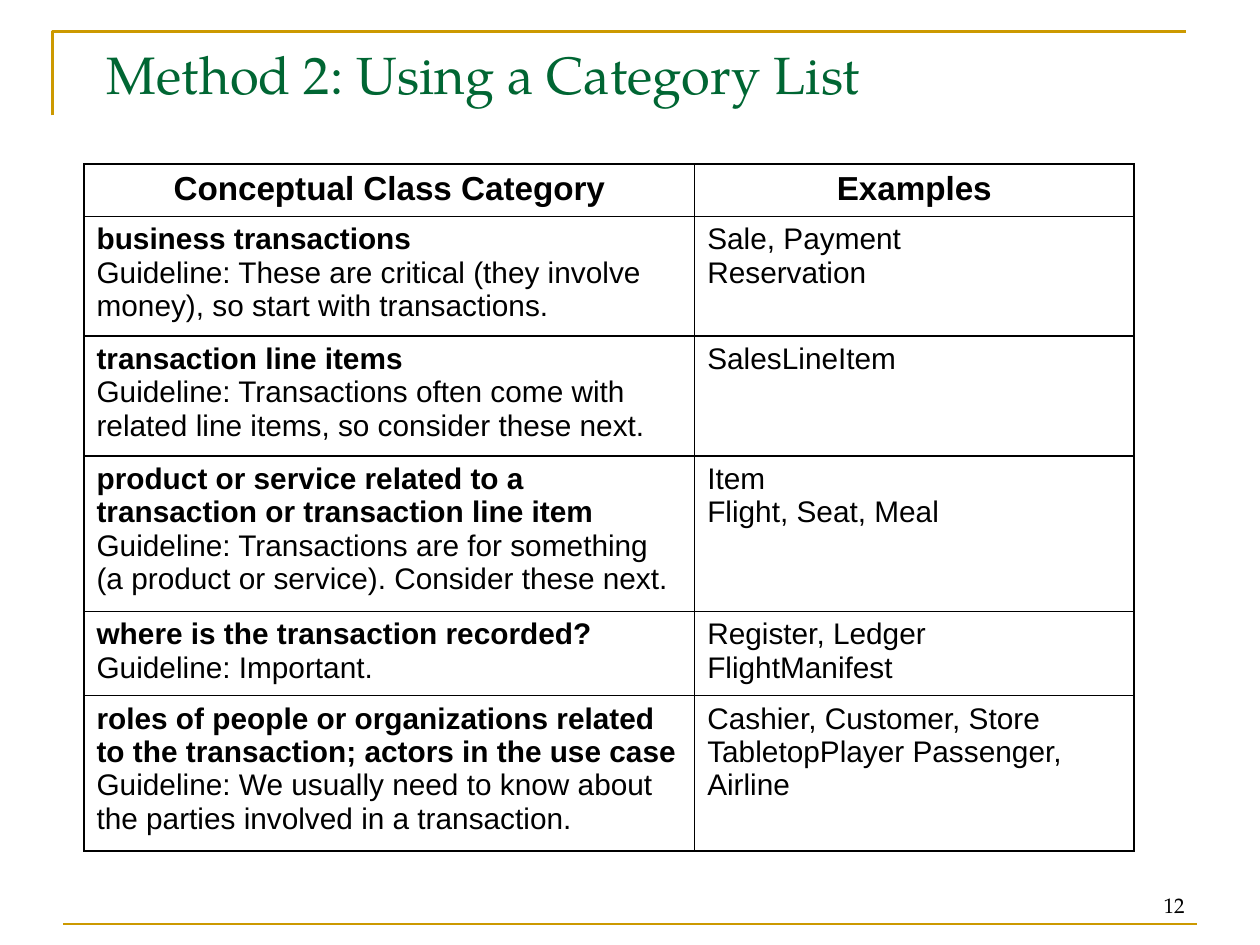
"""Builds the slide on finding conceptual classes with a category list."""
import pptx
import pptx.util
import pptx.dml.color
import pptx.enum.shapes
import pptx.enum.text
import pptx.oxml
import pptx.oxml.ns

Pt = pptx.util.Pt
ALIGN = pptx.enum.text.PP_ALIGN
ANCHOR = pptx.enum.text.MSO_ANCHOR
COLORS = {"gold": "CC9900", "green": "006633", "black": "000000", "white": "FFFFFF"}
SERIF, SANS = "TeX Gyre Pagella", "Arial"
HEADINGS = ["Conceptual Class Category", "Examples"]
CATEGORIES = [
    ("business transactions",
     "Guideline: These are critical (they involve money), so start with transactions.",
     ["Sale, Payment", "Reservation"]),
    ("transaction line items",
     "Guideline: Transactions often come with related line items, so consider these next.",
     ["SalesLineItem"]),
    ("product or service related to a transaction or transaction line item",
     "Guideline: Transactions are for something (a product or service). Consider these next.",
     ["Item", "Flight, Seat, Meal"]),
    ("where is the transaction recorded?",
     "Guideline: Important.",
     ["Register, Ledger", "FlightManifest"]),
    ("roles of people or organizations related to the transaction; actors in the use case",
     "Guideline: We usually need to know about the parties involved in a transaction.",
     ["Cashier, Customer, Store TabletopPlayer Passenger, Airline"]),
]
COLUMN_WIDTHS = [349, 251]
ROW_HEIGHTS = [30, 68.5, 68.5, 88.8, 48, 88.8]


def color(name):
    return pptx.dml.color.RGBColor.from_string(COLORS[name])


def write(frame, lines, ink="black", align=ALIGN.LEFT, **font):
    for index, (text, bold) in enumerate(lines):
        para = frame.add_paragraph() if index else frame.paragraphs[0]
        para.alignment = align
        span = para.add_run()
        span.text = text
        for key, value in {**font, "bold": bold}.items():
            setattr(span.font, key, value)
        span.font.color.rgb = color(ink)


def add_text(page, place, text, anchor, **style):
    frame = page.shapes.add_textbox(*map(Pt, place)).text_frame
    for key, value in {"word_wrap": True, "vertical_anchor": anchor}.items():
        setattr(frame, key, value)
    write(frame, [(text, False)], name=SERIF, **style)


def style_rule(shape):
    shape.line.color.rgb = color("gold")
    shape.line.width = Pt(1.5)


def add_corner(page, points):
    start, *others = [(Pt(x), Pt(y)) for x, y in points]
    builder = page.shapes.build_freeform(*start, scale=1.0)
    builder.add_line_segments(others, close=False)
    corner = builder.convert_to_shape()
    corner.shadow.inherit = False
    corner.fill.background()
    style_rule(corner)


def add_rule(page, left, right, top):
    rule = page.shapes.add_connector(
        pptx.enum.shapes.MSO_CONNECTOR.STRAIGHT, Pt(left), Pt(top), Pt(right), Pt(top))
    style_rule(rule)
    pptx.oxml.ns.qn("a:effectLst")
    rule._element.spPr.append(pptx.oxml.parse_xml(
        f"<a:effectLst {pptx.oxml.ns.nsdecls('a')}/>"))


def add_borders(cell):
    properties = cell._tc.get_or_add_tcPr()
    for side in ("lnL", "lnR", "lnT", "lnB"):
        properties.append(pptx.oxml.parse_xml(
            f"<a:{side} {pptx.oxml.ns.nsdecls('a')} w=\"{Pt(1)}\"><a:solidFill>"
            f"<a:srgbClr val=\"{COLORS['black']}\"/></a:solidFill></a:{side}>"))


def fill_cell(cell, lines, **style):
    add_borders(cell)
    cell.fill.solid()
    cell.fill.fore_color.rgb = color("white")
    write(cell.text_frame, lines, name=SANS, **style)


def add_category_table(page, left, top):
    table = page.shapes.add_table(
        len(ROW_HEIGHTS), len(COLUMN_WIDTHS), Pt(left), Pt(top),
        Pt(sum(COLUMN_WIDTHS)), Pt(sum(ROW_HEIGHTS))).table
    for column, width in zip(table.columns, COLUMN_WIDTHS):
        column.width = Pt(width)
    for row, height in zip(table.rows, ROW_HEIGHTS):
        row.height = Pt(height)
    for index, heading in enumerate(HEADINGS):
        fill_cell(table.cell(0, index), [(heading, True)], size=Pt(19), align=ALIGN.CENTER)
    for index, (category, guideline, examples) in enumerate(CATEGORIES, start=1):
        fill_cell(table.cell(index, 0), [(category, True), (guideline, False)], size=Pt(17))
        fill_cell(table.cell(index, 1), [(text, False) for text in examples], size=Pt(17))


def main():
    deck = pptx.Presentation()
    deck.slide_width, deck.slide_height = Pt(720), Pt(540)
    page = deck.slides.add_slide(deck.slide_layouts[6])
    add_corner(page, [(30, 66), (30, 18), (678, 18)])
    add_rule(page, 36, 684, 528)
    add_text(page, (516, 492, 168, 36), "12", ANCHOR.BOTTOM, size=Pt(12), align=ALIGN.RIGHT)
    add_category_table(page, 48, 93.6)
    add_text(page, (54, 30, 486, 24), "Method 2: Using a Category List", ANCHOR.MIDDLE,
             size=Pt(30), ink="green")
    deck.save("out.pptx")


main()
